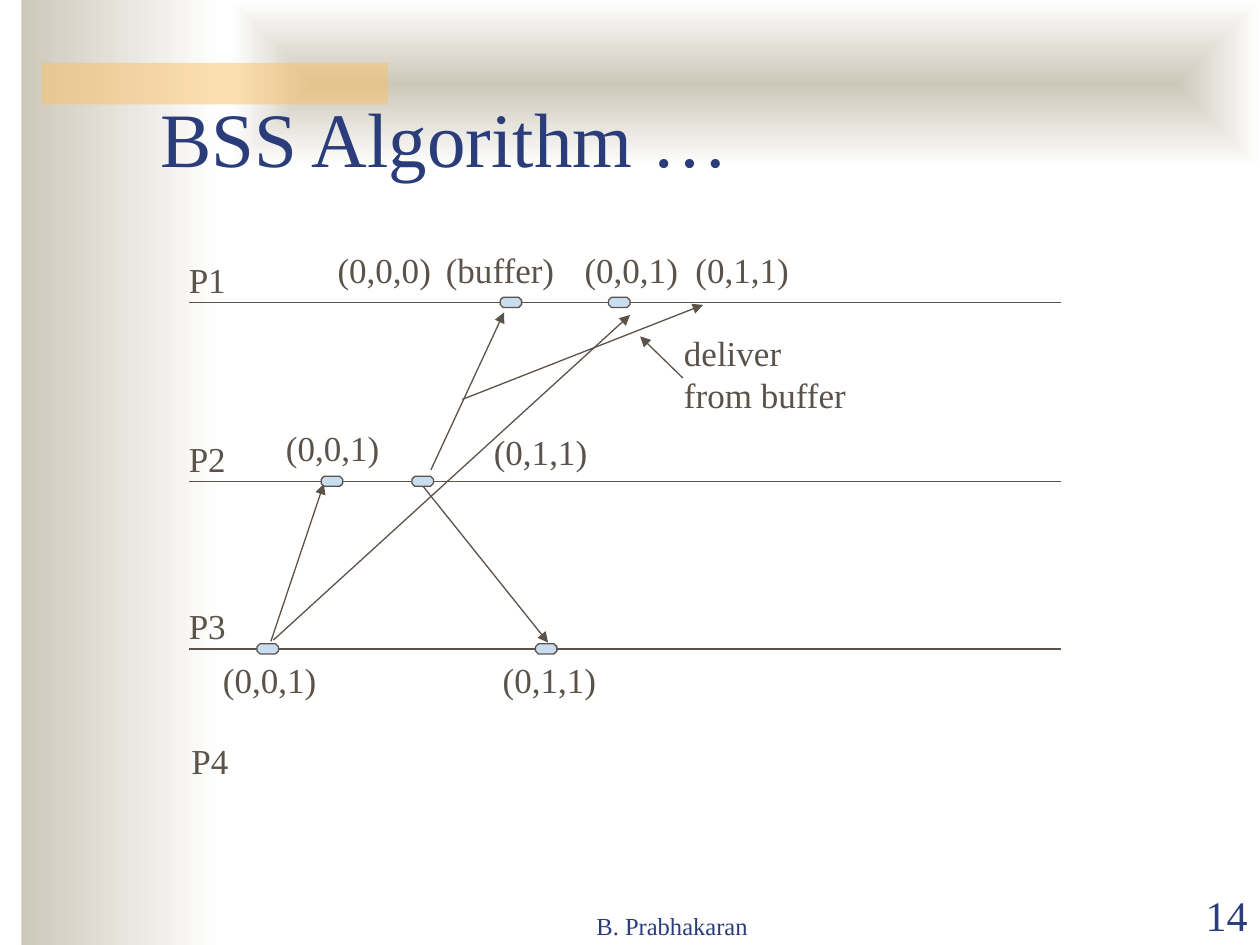
from lxml.etree import SubElement
from pptx import Presentation
from pptx.dml.color import RGBColor
from pptx.enum.shapes import MSO_CONNECTOR, MSO_SHAPE
from pptx.enum.text import MSO_ANCHOR, MSO_AUTO_SIZE, PP_ALIGN
from pptx.oxml.ns import qn
from pptx.util import Inches, Pt

COLORS = {name: RGBColor.from_string(value) for name, value in {
    "navy": "2A3D7A", "brown": "5B5249", "marker": "C9DDF1",
    "sand": "CEC8BA", "white": "FFFFFF", "amber": "FAC164"}.items()}

deck = Presentation()
deck.slide_width, deck.slide_height = Inches(10), Inches(7.5)
page = deck.slides.add_slide(deck.slide_layouts[5])

# Grid of 10 columns by 7.5 rows
COLUMN = deck.slide_width / 10
ROW = deck.slide_height / 7.5


def grid(*lengths):
    """Turn alternating columns and rows into slide lengths."""
    return [round(length * (ROW if index % 2 else COLUMN))
            for index, length in enumerate(lengths)]


def write(text, place, box=None, size=20, color="brown", align=PP_ALIGN.LEFT,
          anchor=MSO_ANCHOR.TOP, wrap=False):
    """Write text, one paragraph a line, in a new text box or the given one."""
    box = box or page.shapes.add_textbox(0, 0, 0, 0)
    box.left, box.top, box.width, box.height = grid(*place)
    frame = box.text_frame
    frame.text = text
    frame.word_wrap = wrap
    frame.auto_size = MSO_AUTO_SIZE.NONE if wrap else MSO_AUTO_SIZE.SHAPE_TO_FIT_TEXT
    frame.vertical_anchor = anchor
    for para in frame.paragraphs:
        para.alignment = align
        para.font.name = "Times New Roman"
        para.font.size = Pt(size)
        para.font.color.rgb = COLORS[color]


# Background: side band, top band and amber bar
bands = []
for place in [(0.17, 0, 1.58, 7.5), (1.83, 0, 8.17, 1.33), (0.33, 0.5, 2.75, 0.33)]:
    band = page.shapes.add_shape(MSO_SHAPE.RECTANGLE, *grid(*place))
    band.shadow.inherit = False
    band.line.fill.background()
    bands.append(band)
side_band, top_band, amber_bar = bands

for band in (side_band, top_band):
    band.fill.gradient()
    band.fill.gradient_angle = 0
    for stop, name in zip(band.fill.gradient_stops, ("sand", "white")):
        stop.color.rgb = COLORS[name]

# The top band fades outwards from its centre
gradient = top_band.element.spPr.find(qn("a:gradFill"))
gradient.remove(gradient.find(qn("a:lin")))
fade = SubElement(gradient, qn("a:path"), path="rect")
SubElement(fade, qn("a:fillToRect"), {edge: "50000" for edge in "ltrb"})

amber_bar.fill.solid()
amber_bar.fill.fore_color.rgb = COLORS["amber"]
amber_color = amber_bar.element.spPr.find(qn("a:solidFill"))[0]
SubElement(amber_color, qn("a:alpha"), val="50000")

# Footer, page number and title, with the title in front of the bands
write("B. Prabhakaran", (3.75, 7.01, 3.17, 0.5), size=14, color="navy",
      align=PP_ALIGN.CENTER, anchor=MSO_ANCHOR.BOTTOM, wrap=True)
write("14", (9, 7.01, 1, 0.5), size=24, color="navy",
      align=PP_ALIGN.RIGHT, anchor=MSO_ANCHOR.BOTTOM, wrap=True)
title = page.shapes.title
write("BSS Algorithm …", (1.17, 0.25, 8.5, 1.25), box=title, size=44,
      color="navy", anchor=MSO_ANCHOR.BOTTOM, wrap=True)
amber_bar.element.addnext(title.element)

# Process time lines, then message arrows
process_rows = {"P1": 2.4, "P2": 3.82, "P3": 5.15}
time_lines = [(1.5, row, 8.42, row) for row in process_rows.values()]
messages = [
    (2.15, 5.09, 2.57, 3.84),
    (2.17, 5.08, 5, 2.5),
    (3.42, 3.73, 4, 2.48),
    (3.35, 3.85, 4.35, 5.1),
    (3.67, 3.17, 5.58, 2.42),
    (5.42, 3, 5.08, 2.67),
]
for ends in time_lines + messages:
    line = page.shapes.add_connector(MSO_CONNECTOR.STRAIGHT, *grid(*ends))
    line.line.color.rgb = COLORS["brown"]
    line.line.width = Pt(0.75)
    if ends in messages:
        outline = line.element.spPr.find(qn("a:ln"))
        SubElement(outline, qn("a:tailEnd"), type="triangle")
    SubElement(line.element.spPr, qn("a:effectLst"))

# Event markers on the time lines
events = [("P1", 3.97), ("P1", 4.83), ("P2", 2.55), ("P2", 3.27),
          ("P3", 2.04), ("P3", 4.25)]
for process, left in events:
    marker = page.shapes.add_shape(
        MSO_SHAPE.OCTAGON, *grid(left, process_rows[process] - 0.04, 0.17, 0.08))
    marker.shadow.inherit = False
    marker.adjustments[0] = 0.29
    marker.fill.solid()
    marker.fill.fore_color.rgb = COLORS["marker"]
    marker.line.color.rgb = COLORS["brown"]
    marker.line.width = Pt(0.75)

# Process names
for process, row in process_rows.items():
    write(process, (1.4, row - 0.4, 0.5, 0.44))
write("P4", (1.42, 5.82, 0.5, 0.44))

# Vector timestamps
timestamps = [
    ("(0,0,0)", 2.58, 1.92), ("(0,0,1)", 4.54, 1.92), ("(0,1,1)", 5.42, 1.92),
    ("(0,0,1)", 2.17, 3.33), ("(0,1,1)", 3.82, 3.36),
    ("(0,0,1)", 1.67, 5.17), ("(0,1,1)", 3.89, 5.17),
]
for text, left, top in timestamps:
    write(text, (left, top, 0.94, 0.44), align=PP_ALIGN.CENTER,
          anchor=MSO_ANCHOR.MIDDLE)

# Buffer notes
write("(buffer)", (3.44, 1.92, 1.06, 0.44))
write("deliver\nfrom buffer", (5.33, 2.58, 1.49, 0.77), anchor=MSO_ANCHOR.MIDDLE)

deck.save("out.pptx")
